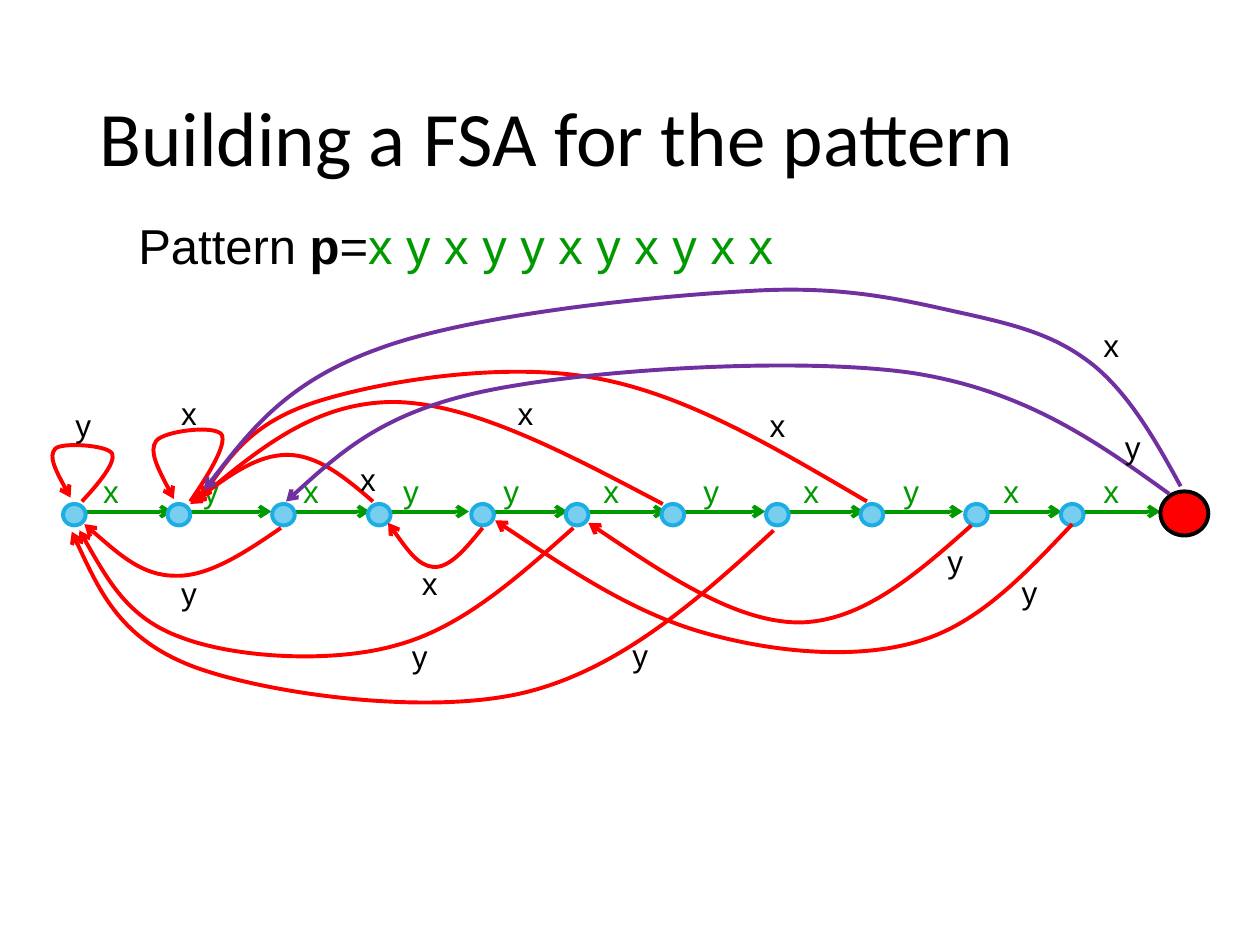
from lxml import etree
from pptx import Presentation
from pptx.dml.color import RGBColor
from pptx.enum.shapes import MSO_CONNECTOR, MSO_SHAPE
from pptx.enum.text import MSO_ANCHOR, MSO_AUTO_SIZE
from pptx.oxml.ns import qn
from pptx.util import Cm, Pt

STRAIGHT = MSO_CONNECTOR.STRAIGHT
OVAL = MSO_SHAPE.OVAL
TOP, MIDDLE = MSO_ANCHOR.TOP, MSO_ANCHOR.MIDDLE
GROW = MSO_AUTO_SIZE.SHAPE_TO_FIT_TEXT

COLORS = {
    "text": "000000", "match": "009900", "fallback": "FF0000",
    "restart": "7030A0", "state": "77CEEF", "state_line": "1CADE4",
    "accept": "FF0000", "accept_line": "000000",
}
STROKE = Pt(2.25)
PATTERN = "x y x y y x y x y x x"
STATE_LEFTS = [0.5, 1.33, 2.16, 2.92, 3.74, 4.49, 5.25, 6.08, 6.83, 7.66, 8.42]
LABEL_WIDTH, LABEL_HEIGHT = 0.33, 0.4

# Each curve: a start point, then two control points and an end point per segment.
FALLBACKS = [
    [(0.65, 3.98), (0.79, 3.83), (0.92, 3.67), (0.89, 3.6), (0.85, 3.53),
     (0.49, 3.51), (0.44, 3.56), (0.38, 3.62), (0.47, 3.79), (0.56, 3.95)],
    [(1.51, 3.98), (1.66, 3.76), (1.8, 3.53), (1.76, 3.45), (1.71, 3.37),
     (1.3, 3.42), (1.24, 3.5), (1.18, 3.58), (1.28, 3.77), (1.38, 3.96)],
    [(2.23, 4.19), (1.94, 4.39), (1.65, 4.58), (1.39, 4.57),
     (1.13, 4.57), (0.9, 4.36), (0.67, 4.16)],
    [(2.96, 3.98), (2.74, 3.79), (2.52, 3.61), (2.28, 3.61),
     (2.04, 3.61), (1.77, 3.81), (1.51, 4)],
    [(3.83, 4.19), (3.7, 4.35), (3.57, 4.51), (3.44, 4.5),
     (3.32, 4.49), (3.2, 4.32), (3.08, 4.15)],
    [(4.55, 4.19), (4.11, 4.58), (3.67, 4.98), (3.15, 5.12), (2.63, 5.27),
     (1.86, 5.22), (1.44, 5.06), (1.02, 4.91), (0.83, 4.56), (0.63, 4.21)],
    [(5.26, 4), (4.5, 3.6), (3.75, 3.2), (3.13, 3.19),
     (2.51, 3.19), (2.02, 3.59), (1.54, 3.99)],
    [(6.14, 4.21), (5.53, 4.77), (4.91, 5.32), (4.15, 5.5), (3.38, 5.68),
     (2.15, 5.51), (1.56, 5.3), (0.96, 5.08), (0.77, 4.65), (0.57, 4.22)],
    [(6.88, 3.98), (6.16, 3.56), (5.45, 3.13), (4.72, 3), (4, 2.87),
     (3.06, 3.02), (2.54, 3.18), (2.02, 3.34), (1.8, 3.65), (1.59, 3.96)],
    [(7.71, 4.17), (7.28, 4.55), (6.84, 4.94), (6.33, 4.94),
     (5.83, 4.93), (5.25, 4.54), (4.67, 4.15)],
    [(8.51, 4.16), (8.14, 4.55), (7.77, 4.95), (7.29, 5.09), (6.8, 5.24),
     (6.14, 5.18), (5.58, 5.02), (5.02, 4.86), (4.47, 4.49), (3.93, 4.13)],
]
RESTARTS = [
    [(9.28, 3.92), (8.71, 3.51), (8.14, 3.1), (7.24, 2.96), (6.34, 2.83),
     (4.7, 2.93), (3.87, 3.1), (3.04, 3.27), (2.66, 3.63), (2.27, 3.98)],
    [(9.37, 3.86), (9.17, 3.49), (8.96, 3.13), (8.68, 2.9), (8.39, 2.67),
     (8.11, 2.59), (7.66, 2.49), (7.2, 2.39), (6.72, 2.26), (5.94, 2.31),
     (5.17, 2.35), (3.72, 2.5), (3, 2.77), (2.28, 3.03), (1.95, 3.46),
     (1.62, 3.89)],
]
CURVE_LABELS = [
    ("y", 0.5, 3.17), ("x", 1.34, 3.08), ("y", 1.34, 4.51), ("x", 3.25, 4.43),
    ("y", 3.17, 5.01), ("x", 2.76, 3.6), ("y", 4.92, 5), ("x", 6.01, 3.17),
    ("y", 8.83, 3.35), ("y", 7.42, 4.25), ("y", 8.01, 4.5), ("x", 4.01, 3.08),
    ("x", 8.66, 2.54),
]


def length(inches):
    return Cm(inches * 2.54)


def rgb(name):
    return RGBColor.from_string(COLORS[name])


def add_text(slide, runs, left, top, width, height, *, size=18, font="Arial",
             color="text", anchor=TOP, wrap=False, spacing=None, grow=True):
    """Add one paragraph; runs is a string or a list of (text, bold, color)."""
    box = slide.shapes.add_textbox(*map(length, (left, top, width, height)))
    frame = box.text_frame
    frame.word_wrap = wrap
    frame.vertical_anchor = anchor
    if grow:
        frame.auto_size = GROW
    paragraph = frame.paragraphs[0]
    if spacing:
        paragraph.line_spacing = spacing
    if isinstance(runs, str):
        runs = [(runs, False, color)]
    for text, bold, run_color in runs:
        run = paragraph.add_run()
        run.text = text
        run.font.name = font
        run.font.size = Pt(size)
        run.font.bold = bold
        run.font.color.rgb = rgb(run_color)


def style_arrow(arrow, color):
    arrow.line.color.rgb = rgb(color)
    arrow.line.width = STROKE
    outline = arrow.line._get_or_add_ln()
    etree.SubElement(outline, qn("a:tailEnd"), type="arrow")


def add_match_arrow(slide, left, top, width):
    arrow = slide.shapes.add_connector(
        STRAIGHT, *map(length, (left, top, left + width, top)))
    style_arrow(arrow, "match")
    etree.SubElement(arrow._element.spPr, qn("a:effectLst"))


def add_state(slide, left, top, width, height, color):
    state = slide.shapes.add_shape(OVAL, *map(length, (left, top, width, height)))
    state.shadow.inherit = False
    state.fill.solid()
    state.fill.fore_color.rgb = rgb(color)
    state.line.color.rgb = rgb(color + "_line")
    state.line.width = STROKE


def bezier_point(segment, t):
    weights = ((1 - t) ** 3, 3 * t * (1 - t) ** 2, 3 * t ** 2 * (1 - t), t ** 3)
    return tuple(round(sum(w * c for w, c in zip(weights, axis)))
                 for axis in zip(*segment))


def add_curved_arrow(slide, points, color, steps=20):
    """Size the outline by points on the curve, then draw it with true Béziers."""
    points = [(length(x), length(y)) for x, y in points]
    segments = [points[i:i + 4] for i in range(0, len(points) - 1, 3)]
    builder = slide.shapes.build_freeform(*points[0])
    builder.add_line_segments(
        [bezier_point(segment, step / steps)
         for segment in segments for step in range(1, steps + 1)], close=False)
    curve = builder.convert_to_shape()
    outline = next(curve._element.iter(qn("a:path")))
    for straight in outline.findall(qn("a:lnTo")):
        outline.remove(straight)
    for segment in segments:
        bend = etree.SubElement(outline, qn("a:cubicBezTo"))
        for x, y in segment[1:]:
            etree.SubElement(bend, qn("a:pt"),
                             x=str(x - curve.left), y=str(y - curve.top))
    curve.shadow.inherit = False
    curve.fill.background()
    style_arrow(curve, color)


def main():
    prs = Presentation()
    prs.slide_width, prs.slide_height = Cm(25.4), Cm(19.05)
    slide = prs.slides.add_slide(prs.slide_layouts[6])

    add_text(slide, "Building a FSA for the pattern", 0.69, 0.4, 8.62, 1.45,
             size=44, font="Calibri", anchor=MIDDLE, wrap=True, spacing=0.9,
             grow=False)
    add_text(slide, [("Pattern ", False, "text"), ("p", True, "text"),
                     ("=", False, "text"), (PATTERN, False, "match")],
             1, 1.66, 5.27, 0.57, size=28, anchor=MIDDLE)

    letters = PATTERN.split()
    for i, letter in enumerate(letters):
        add_text(slide, letter, 0.72 + 0.794 * i, 3.7, LABEL_WIDTH, LABEL_HEIGHT,
                 color="match", anchor=MIDDLE)
    for i in range(len(letters)):
        add_match_arrow(slide, 0.67 + 0.784 * i, 4.06, 0.7)

    add_state(slide, 9.21, 3.9, 0.38, 0.35, "accept")
    for left in STATE_LEFTS:
        add_state(slide, left, 4, 0.18, 0.17, "state")

    for color, curves in (("fallback", FALLBACKS), ("restart", RESTARTS)):
        for points in curves:
            add_curved_arrow(slide, points, color)
    for letter, left, top in CURVE_LABELS:
        add_text(slide, letter, left, top, LABEL_WIDTH, LABEL_HEIGHT)

    prs.save("out.pptx")


if __name__ == "__main__":
    main()
